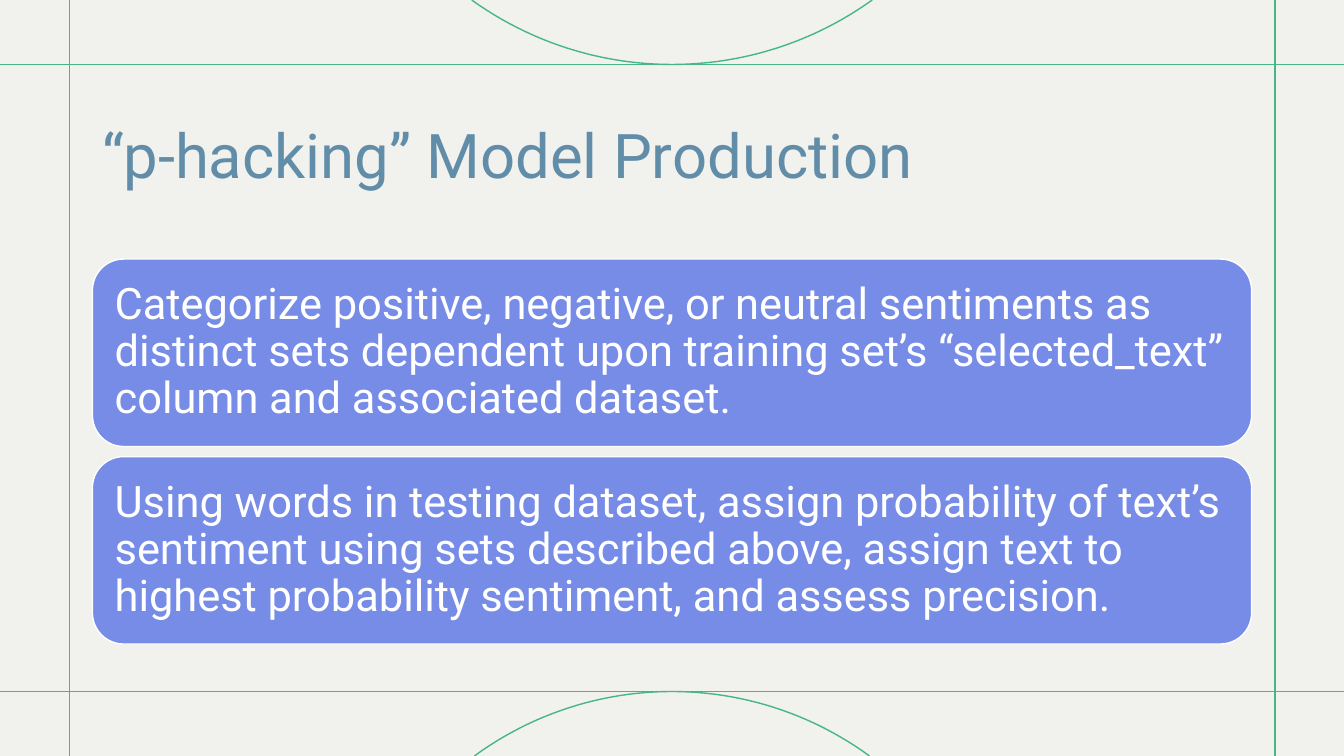
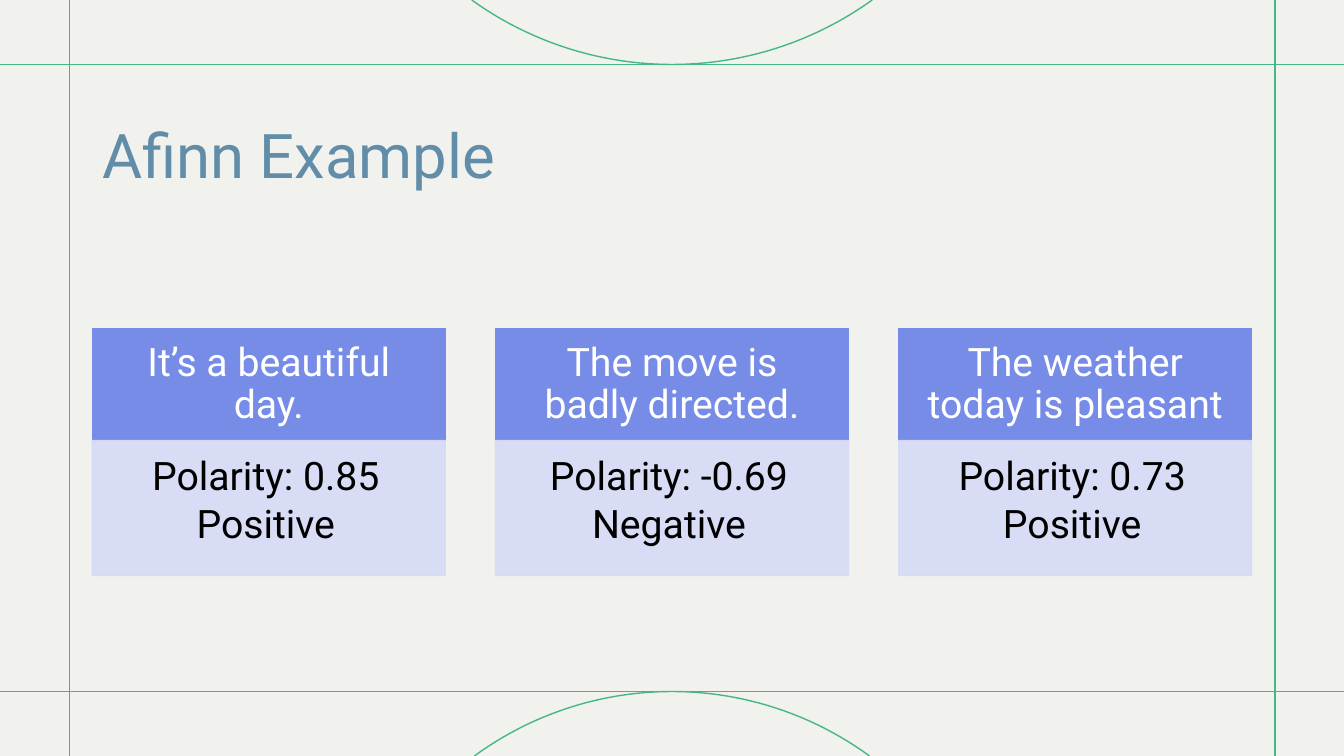
"""Build two slides on sentiment model production and scoring."""
import math
from dataclasses import dataclass

from lxml import etree
from pptx import Presentation
from pptx import util as u
from pptx.dml.color import RGBColor
from pptx.enum import shapes, text
from pptx.oxml import ns

SLIDE_WIDTH = u.Inches(13.33)
SLIDE_HEIGHT = u.Inches(7.5)

CREAM = RGBColor(0xF1, 0xF1, 0xEE)
GREEN = RGBColor(0x47, 0xB6, 0x85)
STEEL = RGBColor(0x61, 0x8D, 0xA8)
PERIWINKLE = RGBColor(0x76, 0x8C, 0xE6)
LAVENDER = RGBColor(0xD6, 0xDA, 0xF5)
WHITE = RGBColor(0xFF, 0xFF, 0xFF)
BLACK = RGBColor(0x00, 0x00, 0x00)

FONT = "Roboto"
LINE_WIDTH = u.Pt(1)
CONTENT_WIDTH = 86.25
MARGIN = (100 - CONTENT_WIDTH) / 2
FRAME_TOP, FRAME_BOTTOM = 8.53, 91.47
FRAME_LEFT, FRAME_RIGHT = 5.17, 94.88


@dataclass(frozen=True)
class Area:
    """A rectangle in percent of the slide's width and height."""

    left: float
    top: float
    width: float
    height: float

    def lengths(self) -> tuple[int, int, int, int]:
        """Return left, top, width and height as slide lengths."""
        return across(self.left), down(self.top), across(self.width), down(self.height)


@dataclass(frozen=True)
class Example:
    """A scored sentence."""

    sentence: str
    polarity: str
    sentiment: str


STEPS = (
    "Categorize positive, negative, or neutral sentiments as distinct sets dependent upon "
    "training set’s “selected_text” column and associated dataset.",
    "Using words in testing dataset, assign probability of text’s sentiment using sets "
    "described above, assign text to highest probability sentiment, and assess precision.",
)
EXAMPLES = (
    Example("It’s a beautiful day.", "0.85", "Positive"),
    Example("The move is badly directed.", "-0.69", "Negative"),
    Example("The weather today is pleasant", "0.73", "Positive"),
)


def across(percent: float) -> int:
    """Turn a share of the slide's width into a length."""
    return round(SLIDE_WIDTH * percent / 100)


def down(percent: float) -> int:
    """Turn a share of the slide's height into a length."""
    return round(SLIDE_HEIGHT * percent / 100)


def write(shape, *lines: str, size: float, color: RGBColor, align=text.PP_ALIGN.LEFT,
          anchor=text.MSO_ANCHOR.MIDDLE, insets=(0.1, 0.05, 0.1, 0.05),
          spacing: float = 1.0, after: float = 0) -> None:
    """Fill a shape with one formatted paragraph per line."""
    frame = shape.text_frame
    frame.word_wrap = True
    frame.vertical_anchor = anchor
    (frame.margin_left, frame.margin_top,
     frame.margin_right, frame.margin_bottom) = map(u.Inches, insets)
    for index, line in enumerate(lines):
        paragraph = frame.add_paragraph() if index else frame.paragraphs[0]
        paragraph.alignment = align
        paragraph.line_spacing = spacing
        paragraph.space_after = u.Pt(after)
        run = paragraph.add_run()
        run.text = line
        run.font.name = FONT
        run.font.size = u.Pt(size)
        run.font.color.rgb = color


def add_panel(slide, kind, area: Area, fill: RGBColor, outline: RGBColor,
              opacity: int = 100):
    """Add a filled, outlined shape."""
    shape = slide.shapes.add_shape(kind, *area.lengths())
    shape.shadow.inherit = False
    shape.fill.solid()
    shape.fill.fore_color.rgb = fill
    shape.line.color.rgb = outline
    shape.line.width = LINE_WIDTH
    if opacity < 100:
        for color in shape._element.spPr.iter(ns.qn("a:srgbClr")):
            etree.SubElement(color, ns.qn("a:alpha"), val=str(opacity * 1000))
    return shape


def add_frame_line(slide, left: float, top: float, right: float, bottom: float) -> None:
    """Add a thin green line between two points."""
    line = slide.shapes.add_connector(
        shapes.MSO_CONNECTOR.STRAIGHT, across(left), down(top), across(right), down(bottom))
    line.line.color.rgb = GREEN
    line.line.width = LINE_WIDTH
    etree.SubElement(line._element.spPr, ns.qn("a:effectLst"))


def add_arc(slide, edge: float, crest: float, half_chord: float, steps: int = 48) -> None:
    """Add a circular arc from the slide's edge that touches a frame line."""
    half, rise = across(half_chord), abs(down(crest) - down(edge))
    radius = (half ** 2 + rise ** 2) / (2 * rise)
    sweep = math.asin(half / radius)
    inward = 1 if crest > edge else -1
    angles = [sweep * (2 * step / steps - 1) for step in range(steps + 1)]
    points = [(round(across(50) + radius * math.sin(angle)),
               round(down(crest) - inward * radius * (1 - math.cos(angle))))
              for angle in angles]
    builder = slide.shapes.build_freeform(*points[0])
    builder.add_line_segments(points[1:], close=False)
    arc = builder.convert_to_shape()
    arc.shadow.inherit = False
    arc.fill.background()
    arc.line.color.rgb = GREEN
    arc.line.width = LINE_WIDTH


def add_base_slide(presentation, title: str):
    """Add a slide with the shared background, frame and title."""
    slide = presentation.slides.add_slide(presentation.slide_layouts[6])
    slide.background.fill.solid()
    slide.background.fill.fore_color.rgb = CREAM
    for height in (FRAME_BOTTOM, FRAME_TOP):
        add_frame_line(slide, 0, height, 100, height)
    for position in (FRAME_RIGHT, FRAME_LEFT):
        add_frame_line(slide, position, 100, position, 0)
    add_arc(slide, 0, FRAME_TOP, 14.9)
    add_arc(slide, 100, FRAME_BOTTOM, 14.7)
    box = slide.shapes.add_textbox(*Area(MARGIN, 10.67, CONTENT_WIDTH, 19.33).lengths())
    write(box, title, size=44, color=STEEL)
    return slide


def add_steps(slide) -> None:
    """Stack the model's steps as rounded panels."""
    top, height, gap = 34.27, 24.8, 1.33
    for row, step in enumerate(STEPS):
        area = Area(MARGIN, top + row * (height + gap), CONTENT_WIDTH, height)
        panel = add_panel(slide, shapes.MSO_SHAPE.ROUNDED_RECTANGLE, area, PERIWINKLE, WHITE)
        write(panel, step, size=31, color=WHITE, insets=(0.13,) * 4, spacing=0.9)


def add_examples(slide) -> None:
    """Set the examples side by side, each a heading above its score."""
    top, heading_height, score_height, width = 43.47, 14.8, 17.87, 26.25
    pitch = (CONTENT_WIDTH - width) / (len(EXAMPLES) - 1)
    kind, center = shapes.MSO_SHAPE.RECTANGLE, text.PP_ALIGN.CENTER
    for column, example in enumerate(EXAMPLES):
        left = MARGIN + column * pitch
        heading = add_panel(slide, kind, Area(left, top, width, heading_height),
                            PERIWINKLE, PERIWINKLE)
        write(heading, example.sentence, size=28, color=WHITE, align=center,
              insets=(0.22, 0.12, 0.22, 0.12), spacing=0.9)
        score = add_panel(slide, kind, Area(left, top + heading_height, width, score_height),
                          LAVENDER, LAVENDER, opacity=90)
        write(score, f"Polarity: {example.polarity}", example.sentiment, size=28, color=BLACK,
              align=center, anchor=text.MSO_ANCHOR.TOP, insets=(0.16, 0.16, 0.22, 0.24),
              spacing=0.9, after=4)


def main() -> None:
    """Build and save the presentation."""
    presentation = Presentation()
    presentation.slide_width = SLIDE_WIDTH
    presentation.slide_height = SLIDE_HEIGHT
    add_steps(add_base_slide(presentation, "“p-hacking” Model Production"))
    add_examples(add_base_slide(presentation, "Afinn Example"))
    presentation.save("out.pptx")


if __name__ == "__main__":
    main()
